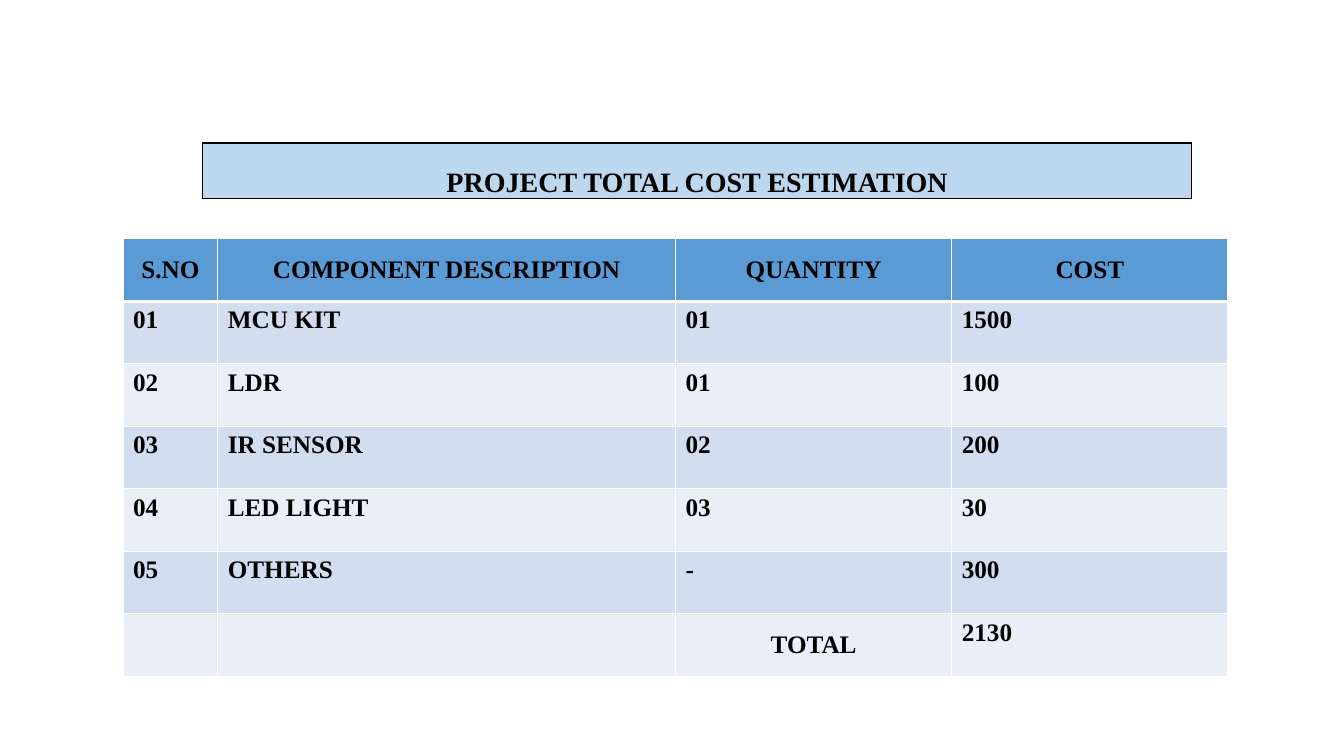
from lxml.etree import SubElement
from pptx import Presentation
from pptx.dml.color import RGBColor
from pptx.enum.shapes import MSO_SHAPE
from pptx.enum.text import MSO_ANCHOR, MSO_AUTO_SIZE, PP_ALIGN
from pptx.oxml.ns import qn
from pptx.util import Inches, Pt

COLORS = {
    "black": "000000",
    "white": "FFFFFF",
    "banner": "BDD7EE",
    "head": "5B9BD5",
    "odd": "D2DEEF",
    "even": "EAEFF7",
}
FONT = {"name": "Times New Roman", "bold": True}

COLS = [0.94, 4.54, 2.74, 2.74]
ROW = 0.62
COSTS = [
    ["S.NO", "COMPONENT DESCRIPTION", "QUANTITY", "COST"],
    ["01", "MCU KIT", "01", "1500"],
    ["02", "LDR", "01", "100"],
    ["03", "IR SENSOR", "02", "200"],
    ["04", "LED LIGHT", "03", "30"],
    ["05", "OTHERS", "-", "300"],
    ["", "", "TOTAL", "2130"],
]


def color(name):
    return RGBColor.from_string(COLORS[name])


def paint(item, name):
    item.fill.solid()
    item.fill.fore_color.rgb = color(name)


def write(frame, text, size, align):
    para = frame.paragraphs[0]
    para.alignment = align
    run = para.add_run()
    run.text = text
    for key, value in {**FONT, "size": Pt(size)}.items():
        setattr(run.font, key, value)
    run.font.color.rgb = color("black")
    return para


def add_banner(slide, text):
    box = slide.shapes.add_shape(
        MSO_SHAPE.RECTANGLE, Inches(2.01), Inches(1.42), Inches(9.81), Inches(0.55))
    box.shadow.inherit = False
    paint(box, "banner")
    box.line.color.rgb = color("black")
    box.line.width = Pt(1)
    frame = box.text_frame
    form = {"word_wrap": True, "vertical_anchor": MSO_ANCHOR.TOP,
            "auto_size": MSO_AUTO_SIZE.SHAPE_TO_FIT_TEXT}
    for key, value in form.items():
        setattr(frame, key, value)
    write(frame, text, 20, PP_ALIGN.CENTER).line_spacing = 1.5


def add_edges(cell, widths):
    props = cell._tc.get_or_add_tcPr()
    # Borders must come before the fill
    for spot, (side, width) in enumerate(widths.items()):
        line = SubElement(props, qn(f"a:ln{side}"), w=str(Pt(width)))
        fill = SubElement(line, qn("a:solidFill"))
        SubElement(fill, qn("a:srgbClr"), val=COLORS["white"])
        props.insert(spot, line)


def add_costs(slide, rows):
    table = slide.shapes.add_table(
        len(rows), len(COLS), Inches(1.22), Inches(2.37),
        Inches(sum(COLS)), Inches(ROW * len(rows))).table
    for col, width in zip(table.columns, COLS):
        col.width = Inches(width)
    for r, row in enumerate(rows):
        table.rows[r].height = Inches(ROW)
        shade = "head" if r == 0 else "odd" if r % 2 else "even"
        for c, text in enumerate(row):
            cell = table.cell(r, c)
            paint(cell, shade)
            add_edges(cell, {"L": 1, "R": 1, "T": 3 if r == 1 else 1,
                             "B": 3 if r == 0 else 1})
            mid = r == 0 or text == "TOTAL"
            cell.vertical_anchor = MSO_ANCHOR.MIDDLE if mid else MSO_ANCHOR.TOP
            if text:
                write(cell.text_frame, text, 18,
                      PP_ALIGN.CENTER if mid else PP_ALIGN.LEFT)


def main():
    deck = Presentation()
    deck.slide_width = Inches(13.33)
    deck.slide_height = Inches(7.5)
    slide = deck.slides.add_slide(deck.slide_layouts[6])
    # Title banner
    add_banner(slide, "PROJECT TOTAL COST ESTIMATION")
    # Cost table
    add_costs(slide, COSTS)
    deck.save("out.pptx")


if __name__ == "__main__":
    main()
